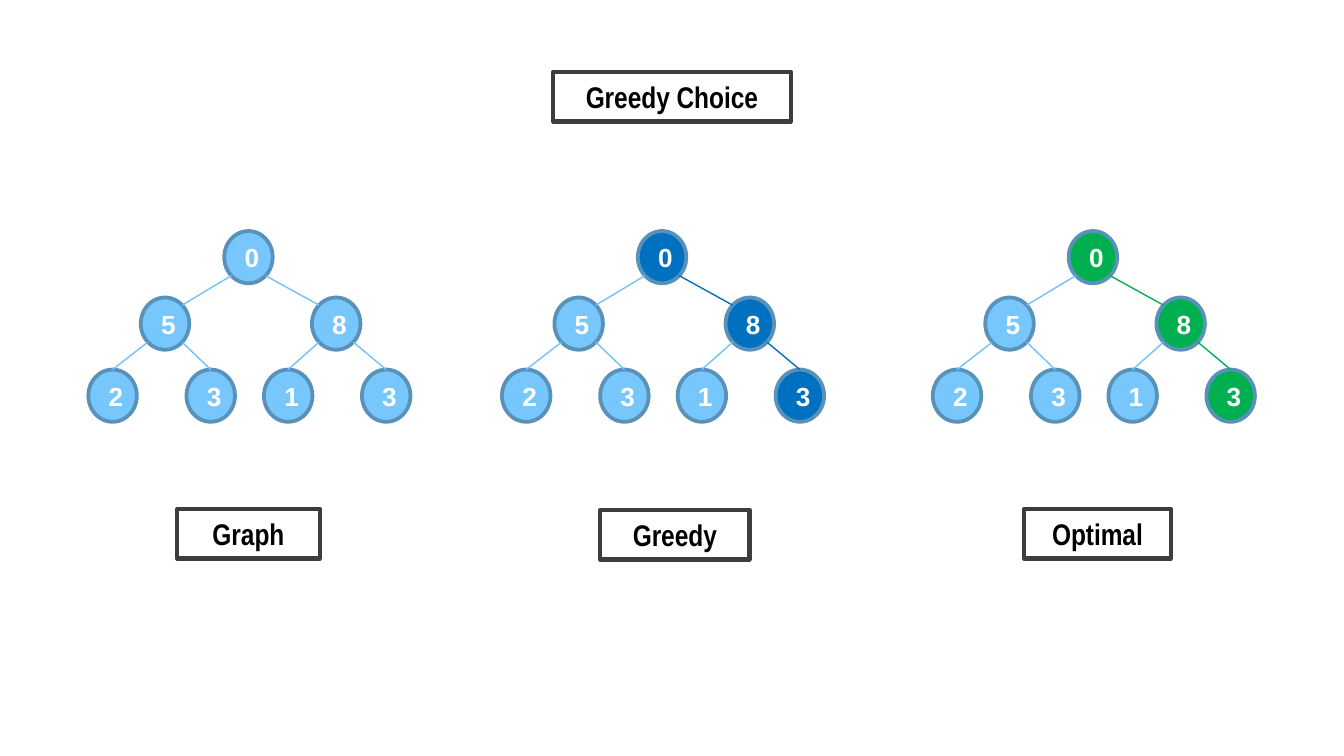
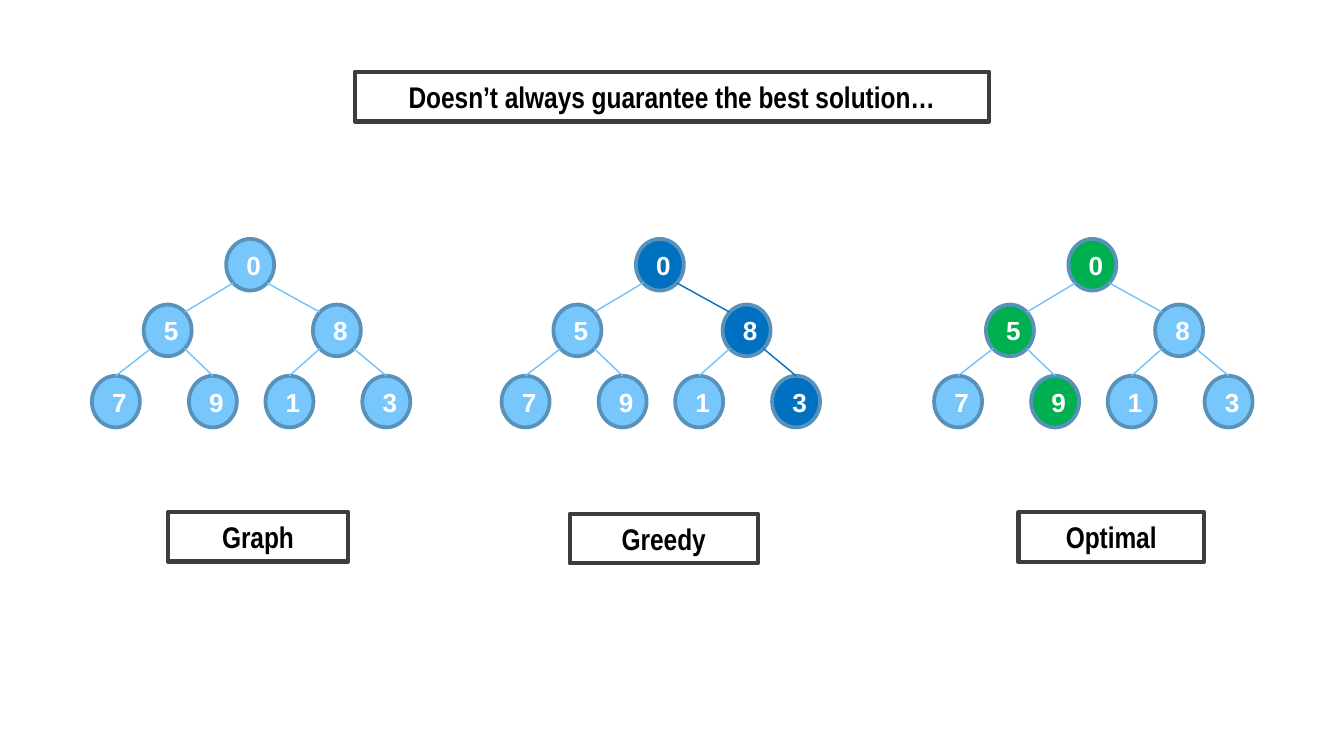
from math import sqrt

from lxml import etree
from pptx import Presentation
from pptx.dml.color import RGBColor
from pptx.enum import shapes, text
from pptx.oxml import ns
from pptx.util import Pt

FRAME = RGBColor(0x3D, 0x3D, 0x3D)
INK = RGBColor(0x00, 0x00, 0x00)
WHITE = RGBColor(0xFF, 0xFF, 0xFF)
NODE = RGBColor(0x77, 0xC6, 0xFC)
RIM = RGBColor(0x58, 0x92, 0xBA)
EDGE = RGBColor(0x71, 0xC2, 0xFA)
BLUE = RGBColor(0x00, 0x70, 0xC0)
GREEN = RGBColor(0x00, 0xB0, 0x50)

SLIDE_W, SLIDE_H = 720, 405
BOX_H = 26.6
TITLE_TOP = 38.5
TREE_W = 172
NODE_W, NODE_H = 26, 28
NODE_SPOTS = [(72.8, 0), (28.1, 35.6), (119.8, 35.6),
              (0, 74.2), (52.6, 74.2), (94.1, 74.2), (146.6, 74.2)]


def place(sp, left, top, width, height):
    sp.left, sp.top, sp.width, sp.height = Pt(left), Pt(top), Pt(width), Pt(height)


def write(tf, content, font, size, color):
    p = tf.paragraphs[0]
    p.alignment = text.PP_ALIGN.CENTER
    r = p.add_run()
    r.text = content
    r.font.name = font
    r.font.size = Pt(size)
    r.font.bold = True
    r.font.color.rgb = color


def framed_text(sp, content, left, top, width):
    place(sp, left, top, width, BOX_H)
    sp.line.color.rgb = FRAME
    sp.line.width = Pt(2.25)
    tf = sp.text_frame
    tf.word_wrap = True
    tf.auto_size = text.MSO_AUTO_SIZE.NONE
    tf.vertical_anchor = text.MSO_ANCHOR.TOP
    write(tf, content, "Arial Narrow", 16, INK)


def add_node(group, value, left, top, width, height, fill):
    sp = group.shapes.add_shape(shapes.MSO_SHAPE.FLOWCHART_CONNECTOR,
                                Pt(left), Pt(top), Pt(width), Pt(height))
    sp.shadow.inherit = False
    sp.fill.solid()
    sp.fill.fore_color.rgb = fill
    sp.line.color.rgb = RIM
    sp.line.width = Pt(2)
    sp.text_frame.word_wrap = True
    sp.text_frame.vertical_anchor = text.MSO_ANCHOR.MIDDLE
    write(sp.text_frame, str(value), "Arial", 14, WHITE)


def add_edge(group, start, end, color):
    line = group.shapes.add_connector(shapes.MSO_CONNECTOR.STRAIGHT,
                                      *map(Pt, start + end))
    line.line.color.rgb = color
    line.line.width = Pt(0.75)
    etree.SubElement(line._element.spPr, ns.qn("a:effectLst"))


def add_tree(s, values, left, top, width, chosen, accent, edge_accent):
    scale = width / TREE_W
    w, h = NODE_W * scale, NODE_H * scale
    spots = [(left + x * scale, top + y * scale) for x, y in NODE_SPOTS]
    group = s.shapes.add_group_shape()
    for i, (value, (x, y)) in enumerate(zip(values, spots)):
        add_node(group, value, x, y, w, h, accent if i in chosen else NODE)

    def rim_point(i, side, down):
        x, y = spots[i]
        return (x + w / 2 + side * w / sqrt(8), y + h / 2 + down * h / sqrt(8))

    for child in range(1, len(spots)):
        parent = (child - 1) // 2
        side = -1 if child % 2 else 1
        start = rim_point(parent, side, 1)
        if parent == 0:
            end = rim_point(child, -side, -1)
        else:
            end = (spots[child][0] + w / 2, spots[child][1])
        on_route = parent in chosen and child in chosen
        add_edge(group, start, end, edge_accent if on_route else EDGE)


def add_tree_slide(prs, title, title_w, values, tree_top, tree_w, trees, labels):
    s = prs.slides.add_slide(prs.slide_layouts[5])
    framed_text(s.shapes.title, title, (SLIDE_W - title_w) / 2, TITLE_TOP, title_w)
    for left, chosen, accent, edge_accent in trees:
        add_tree(s, values, left, tree_top, tree_w, chosen, accent, edge_accent)
    for content, left, top, width in labels:
        sp = s.shapes.add_textbox(Pt(left), Pt(top), Pt(width), Pt(BOX_H))
        framed_text(sp, content, left, top, width)


def main():
    prs = Presentation()
    prs.slide_width, prs.slide_height = Pt(SLIDE_W), Pt(SLIDE_H)
    right_route, best_route = (0, 2, 6), (0, 1, 4)
    add_tree_slide(
        prs, "Greedy Choice", 127.4, [0, 5, 8, 2, 3, 1, 3], 123.8, TREE_W,
        [(47.3, (), NODE, EDGE),
         (268.9, right_route, BLUE, BLUE),
         (499.7, right_route, GREEN, GREEN)],
        [("Graph", 95, 272.7, 76.3),
         ("Greedy", 321.6, 273.2, 79.9),
         ("Optimal", 548.7, 272.7, 78.5)])
    add_tree_slide(
        prs, "Doesn’t always guarantee the best solution…", 340,
        [0, 5, 8, 7, 9, 1, 3], 128, 170,
        [(49.2, (), NODE, EDGE),
         (268.7, right_route, BLUE, BLUE),
         (500.4, best_route, GREEN, EDGE)],
        [("Graph", 90, 274.3, 96.5),
         ("Greedy", 305.2, 275.2, 100.8),
         ("Optimal", 545.6, 274.5, 99.4)])
    prs.save("out.pptx")


if __name__ == "__main__":
    main()
